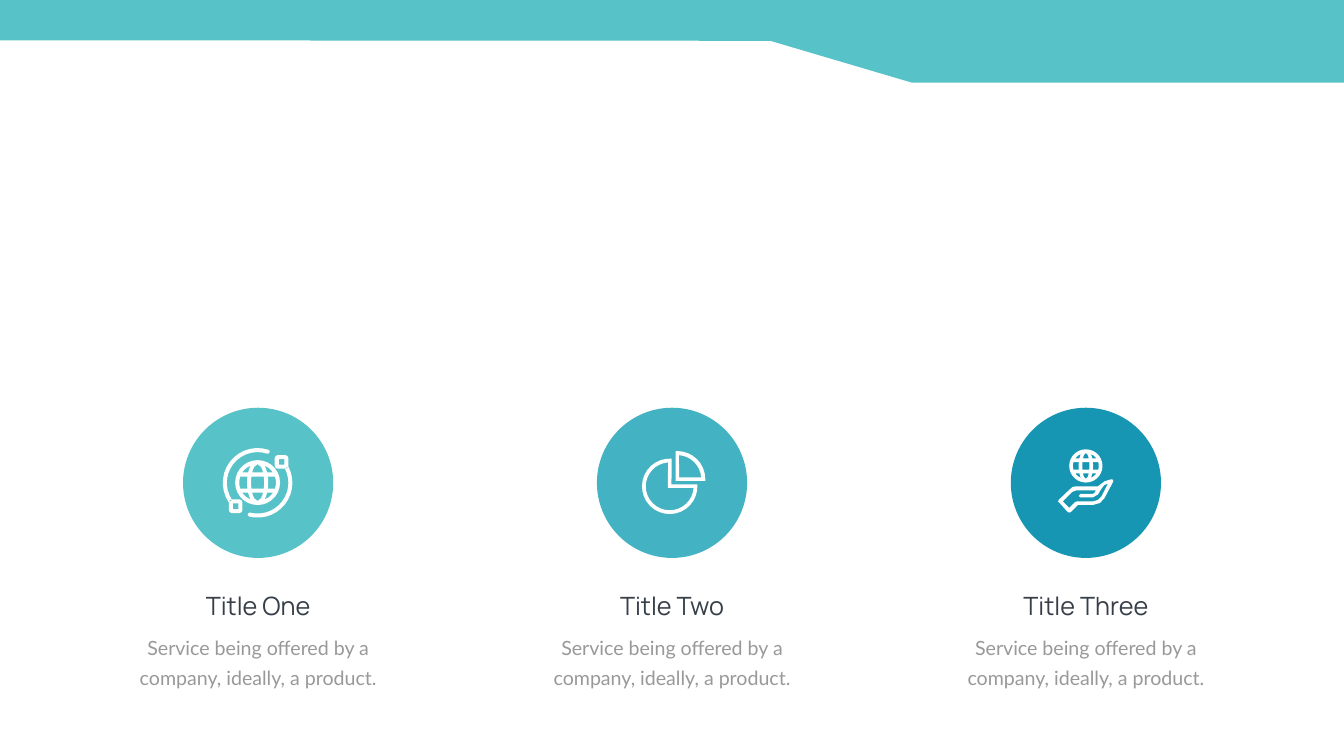
"""Build a slide with three services under a stepped top band."""
from math import cos, pi, sin, sqrt
from pptx import Presentation
from pptx.dml.color import RGBColor
from pptx.enum.shapes import MSO_SHAPE as Kind
from pptx.enum.text import MSO_AUTO_SIZE as Fit, PP_ALIGN as Align
from pptx.util import Pt

PX = 9144
WIDE, HIGH = 2666, 1500
BODY = "Service being offered by a company, ideally, a product."
ITEMS = [
    ("Title One", 242, "57C3C8"),
    ("Title Two", 241, "43B2C2"),
    ("Title Three", 281, "1796B4"),
]
LEFT, STEP, DISC = 363, 821, 298
BAND = [(0, 0), (2666, 0), (2666, 164), (1809, 164), (1528, 81), (0, 80)]
HAND = [
    [(2208, 952), (2204, 951), (2191, 955), (2178, 965), (2135, 965),
     (2128, 966), (2122, 971), (2100, 992), (2099, 995), (2118, 1016),
     (2121, 1017), (2124, 1016), (2138, 1002), (2168, 1002),
     (2182, 998), (2191, 988), (2208, 956)],
    [(2185, 985), (2178, 992), (2168, 995), (2136, 995), (2133, 996),
     (2121, 1008), (2108, 995), (2127, 976), (2135, 973), (2174, 973),
     (2171, 978), (2168, 980), (2143, 980), (2140, 984), (2143, 987),
     (2168, 987), (2178, 981), (2184, 971), (2190, 963), (2198, 959)],
]


def arc(x, y, r, start, end, count=14):
    turns = [(start + (end - start) * i / count) * pi / 180
             for i in range(count + 1)]
    return [(x + r * cos(t), y + r * sin(t)) for t in turns]


def globe(x, y, r, line, bar, rib):
    """Return a disc outline and its nine windows, cut by ribs and bars."""
    rim = r - line

    def curve(w, h, v):
        return w * sqrt(max(0, 1 - (v / h) ** 2))

    def window(top, end, near, far):
        rows = [top + (end - top) * i / 3 for i in range(4)]
        return ([(x + near(v), y + v) for v in rows]
                + [(x + far(v), y + v) for v in reversed(rows)])

    def inner(v):
        return curve(rib, rim, v)

    def outer(v):
        return curve(rib + line, r, v)

    def edge(v):
        return curve(rim, rim, v)

    meet = sqrt((rim ** 2 - (rib + line) ** 2) / (1 - ((rib + line) / r) ** 2))
    loops = [arc(x, y, r, 0, 360, 28)]
    for near, far, tip in [
            (lambda v: -edge(v), lambda v: -outer(v), meet),
            (lambda v: -inner(v), inner, rim),
            (outer, edge, meet)]:
        for top, end in [(-tip, -bar - line), (-bar, bar), (bar + line, tip)]:
            loops.append(window(top, end, near, far))
    return loops


def orbit(left, top, start, end):
    """Return a hollow rounded square with a round-ended arc leaving it."""
    x, y, r, line, size, bend = 511, 958, 69, 8, 27, 6
    tip = arc(x, y, r - line / 2, end, end, 1)[0]
    tail = (arc(x, y, r, start, end) + arc(*tip, line / 2, end, end + 180, 4)
            + arc(x, y, r - line, end, start))
    box = []
    for turn, (dx, dy) in enumerate([(1, 1), (0, 1), (0, 0), (1, 0)]):
        cx = left + bend + dx * (size - 2 * bend)
        cy = top + bend + dy * (size - 2 * bend)
        box += arc(cx, cy, bend, turn * 90, turn * 90 + 90, 2)
    lo, hi = line, size - line
    hole = [(left + a, top + b)
            for a, b in [(lo, lo), (hi, lo), (hi, hi), (lo, hi)]]
    return [box, hole, tail]


ICONS = [
    [globe(511, 957.5, 44.5, 8, 12, 13),
     orbit(545, 903, -28, 104), orbit(454, 991, 146, 288)],
    [[[(1332, 961)] + arc(1328.5, 965, 55, -4, 274, 24),
      [(1325, 968)] + arc(1328.5, 965, 47.5, 4, 266, 24)],
     [[(1399, 954), (1340, 954), (1340, 895)]
      + arc(1343.5, 950.5, 55.5, -90, 0, 8),
      [(1347, 947)] + arc(1343.5, 950.5, 47.5, -86, -4, 8)]],
    [HAND, globe(2154, 924.5, 33, 7.3, 7.5, 7)],
]


def paint(shape, color):
    shape.shadow.inherit = False
    shape.fill.solid()
    shape.fill.fore_color.rgb = RGBColor.from_string(color)
    shape.line.fill.background()


def trace(shapes, loops, color):
    spots = [[(x * PX, y * PX) for x, y in loop] for loop in loops]
    pen = shapes.build_freeform(*spots[0][0], scale=1.0)
    for i, loop in enumerate(spots):
        if i:
            pen.move_to(*loop[0])
        pen.add_line_segments(loop[1:], close=True)
    paint(pen.convert_to_shape(), color)


def write(shapes, words, box, face, size, color, wrap=False):
    frame = shapes.add_textbox(*[round(v * PX) for v in box]).text_frame
    frame.word_wrap = wrap
    frame.auto_size = Fit.SHAPE_TO_FIT_TEXT
    para = frame.paragraphs[0]
    para.text = words
    para.alignment = Align.CENTER
    para.font.name = face
    para.font.size = Pt(size)
    para.font.color.rgb = RGBColor.from_string(color)
    return frame


def main():
    deck = Presentation()
    deck.slide_width, deck.slide_height = WIDE * PX, HIGH * PX
    shapes = deck.slides.add_slide(deck.slide_layouts[6]).shapes
    for i, ((title, wide, color), icon) in enumerate(zip(ITEMS, ICONS)):
        left = LEFT + i * STEP
        mid = left + DISC / 2
        write(shapes, title, (mid - wide / 2, 1167, wide, 71),
              "Manrope", 36, "363E48")
        body = write(shapes, BODY, (mid - 269.5, 1237, 539, 139),
                     "Lato", 28, "999999", True)
        body.margin_left = body.margin_right = 24 * PX
        body.margin_top = body.margin_bottom = 12 * PX
        body.paragraphs[0].line_spacing = Pt(43)
        disc = shapes.add_shape(
            Kind.OVAL, *[v * PX for v in (left, 809, DISC, DISC)])
        paint(disc, color)
        for loops in icon:
            trace(shapes, loops, "FFFFFF")
    trace(shapes, [BAND], "57C3C8")
    deck.save("out.pptx")


if __name__ == "__main__":
    main()
